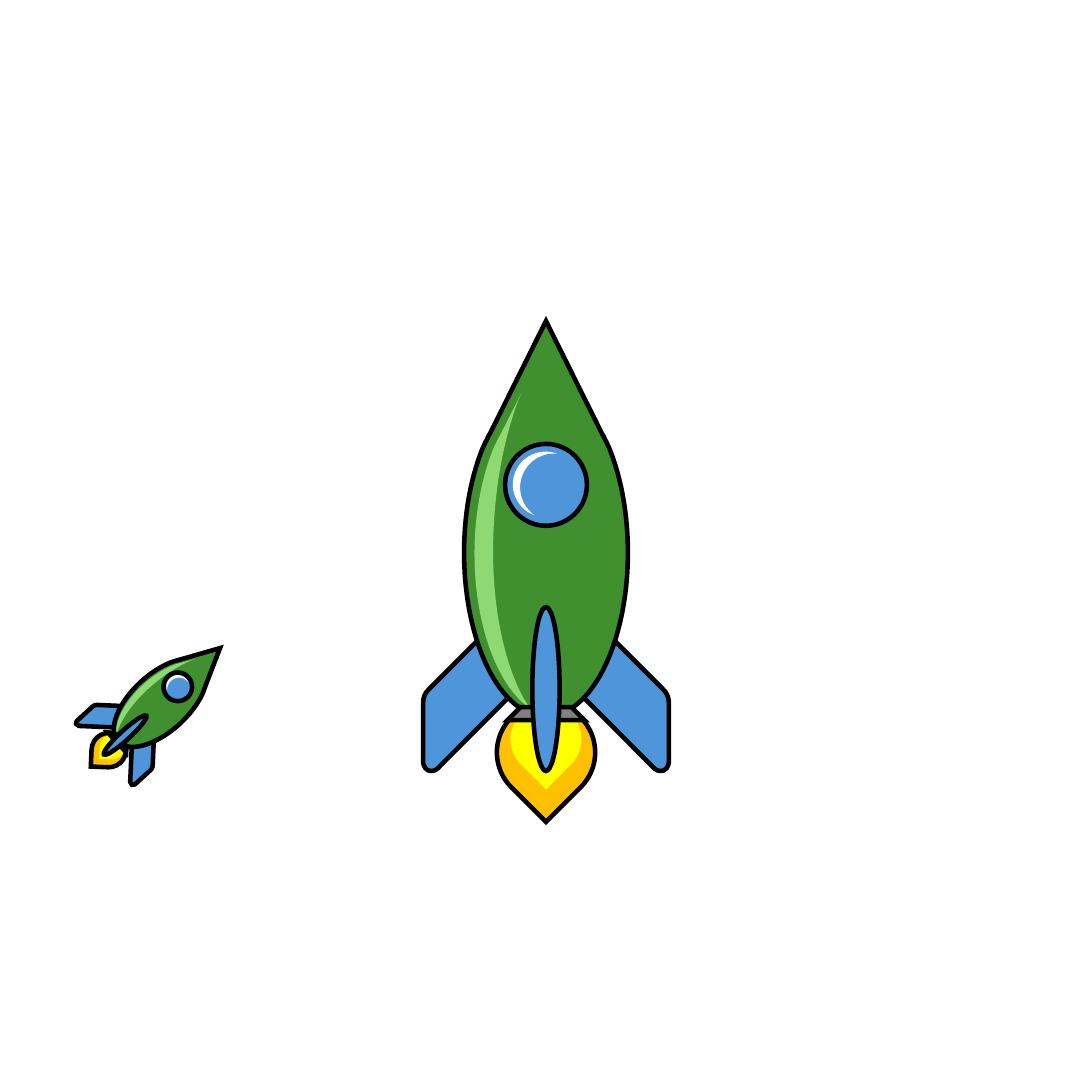
from math import cos, radians, sin

from lxml import etree
from pptx import Presentation
from pptx.dml.color import RGBColor
from pptx.enum.shapes import MSO_SHAPE
from pptx.oxml.ns import qn
from pptx.util import Inches, Pt

TEARDROP = MSO_SHAPE.TEAR
ELLIPSE = MSO_SHAPE.OVAL
STRIPE = MSO_SHAPE.DIAGONAL_STRIPE
MOON = MSO_SHAPE.MOON

BLACK = RGBColor(0x00, 0x00, 0x00)
WHITE = RGBColor(0xFF, 0xFF, 0xFF)
ORANGE = RGBColor(0xFF, 0xC0, 0x00)
YELLOW = RGBColor(0xFF, 0xFF, 0x00)
BLUE = RGBColor(0x4E, 0x95, 0xD9)
GREEN = RGBColor(0x40, 0x90, 0x30)
LIGHT_GREEN = RGBColor(0x8E, 0xD9, 0x73)
GRAY = RGBColor(0x80, 0x80, 0x80)

# Outlines in inches from the tip of the nose. A step of one point is a
# straight line, a step of three points is a Bezier curve.
HULL = [
    [(0, 0)], [(1.02, 2.05)], [(1.06, 2.12)], [(1.09, 2.19)],
    [(1.1, 2.2)], [(1.16, 2.33)],
    [(1.37, 2.85), (1.5, 3.51), (1.5, 4.24)],
    [(1.5, 5.89), (0.83, 7.24), (0, 7.24)],
    [(-0.83, 7.24), (-1.5, 5.89), (-1.5, 4.24)],
    [(-1.5, 3.51), (-1.37, 2.85), (-1.16, 2.33)],
    [(-1.1, 2.2)], [(-1.09, 2.19)], [(-1.06, 2.12)], [(-1.02, 2.05)],
]
LEFT_FIN = [
    [(-0.65, 5.25)], [(0.95, 5.25)], [(-1.99, 8.2)],
    [(-2.03, 8.24), (-2.1, 8.25), (-2.16, 8.23)],
    [(-2.2, 8.21), (-2.23, 8.17), (-2.24, 8.13)],
    [(-2.25, 8.09)], [(-2.25, 6.99)],
    [(-2.25, 6.89), (-2.21, 6.8), (-2.14, 6.74)],
]
RIGHT_FIN = [[(-x, y) for x, y in step] for step in LEFT_FIN]
HULL_SHINE = [
    [(-0.45, 1.32)], [(-0.52, 1.48)],
    [(-0.74, 2.09), (-0.9, 2.83), (-0.95, 3.64)],
    [(-1.04, 4.98), (-0.81, 6.18), (-0.41, 6.91)],
    [(-0.29, 7.1)], [(-0.39, 7.02)],
    [(-0.93, 6.57), (-1.31, 5.5), (-1.31, 4.26)],
    [(-1.31, 3.54), (-1.18, 2.87), (-0.97, 2.35)],
    [(-0.91, 2.22)], [(-0.87, 2.14)], [(-0.83, 2.07)],
]


def bend(shape, outline):
    """Join the three lines of each curved step into one Bezier curve."""
    lines = iter(shape._element.findall(".//" + qn("a:lnTo")))
    for step in outline[1:]:
        first, *others = [next(lines) for _ in step]
        if others:
            curve = etree.Element(qn("a:cubicBezTo"))
            first.addprevious(curve)
            for line in (first, *others):
                curve.append(line[0])
                line.getparent().remove(line)


def paint(shape, color, outlined):
    shape.shadow.inherit = False
    shape.fill.solid()
    shape.fill.fore_color.rgb = color
    if not outlined:
        shape.line.fill.background()
        return
    shape.line.color.rgb = BLACK
    shape.line.width = Pt(6)
    line = shape._element.spPr.find(qn("a:ln"))
    etree.SubElement(line, qn("a:miter"), lim="800000")


def draw_rocket(slide, tip_x, tip_y, scale=1, angle=0):
    """Draw a rocket with its nose at the tip, turned clockwise about it."""
    parts = []

    def place(shape, turn=0):
        """Swing a part drawn around the nose at (0, 0) into its place."""
        x = shape.left + shape.width / 2
        y = shape.top + shape.height / 2
        c, s = cos(radians(angle)), sin(radians(angle))
        shape.left = round(Inches(tip_x) + x * c - y * s - shape.width / 2)
        shape.top = round(Inches(tip_y) + x * s + y * c - shape.height / 2)
        shape.rotation = turn + angle
        parts.append(shape)

    def preset(kind, x, y, width, height, color, turn=0, outlined=True, adjust=None):
        """Add a preset shape centred on (x, y)."""
        shape = slide.shapes.add_shape(kind, *(
            Inches(v * scale) for v in (x - width / 2, y - height / 2, width, height)))
        if adjust is not None:
            shape.adjustments[0] = adjust
        paint(shape, color, outlined)
        place(shape, turn)

    def freeform(outline, color, outlined=True):
        start, *rest = [(Inches(x * scale), Inches(y * scale))
                        for step in outline for x, y in step]
        builder = slide.shapes.build_freeform(*start)
        builder.add_line_segments(rest, close=True)
        shape = builder.convert_to_shape()
        bend(shape, outline)
        paint(shape, color, outlined)
        place(shape)

    preset(TEARDROP, 0, 7.9, 1.8, 1.8, ORANGE, turn=135)
    preset(TEARDROP, 0, 7.66, 1.3, 1.3, YELLOW, turn=135, outlined=False)
    freeform(LEFT_FIN, BLUE)
    freeform(RIGHT_FIN, BLUE)
    freeform(HULL, GREEN)
    freeform(HULL_SHINE, LIGHT_GREEN, outlined=False)
    preset(STRIPE, 0, 7.31, 1, 1, GRAY, turn=45, adjust=0.665)
    preset(ELLIPSE, 0, 6.74, 0.5, 3, BLUE)
    preset(ELLIPSE, 0, 3, 1.5, 1.5, BLUE)
    preset(MOON, -0.29, 2.89, 0.6, 1.2, WHITE, turn=19.9, outlined=False, adjust=0.239)
    slide.shapes.add_group_shape(parts)


def main():
    deck = Presentation()
    deck.slide_width = deck.slide_height = Inches(20)
    slide = deck.slides.add_slide(deck.slide_layouts[6])
    draw_rocket(slide, 10, 5.88)
    draw_rocket(slide, 4.03, 11.87, scale=0.35, angle=47.5)
    deck.save("out.pptx")


if __name__ == "__main__":
    main()
